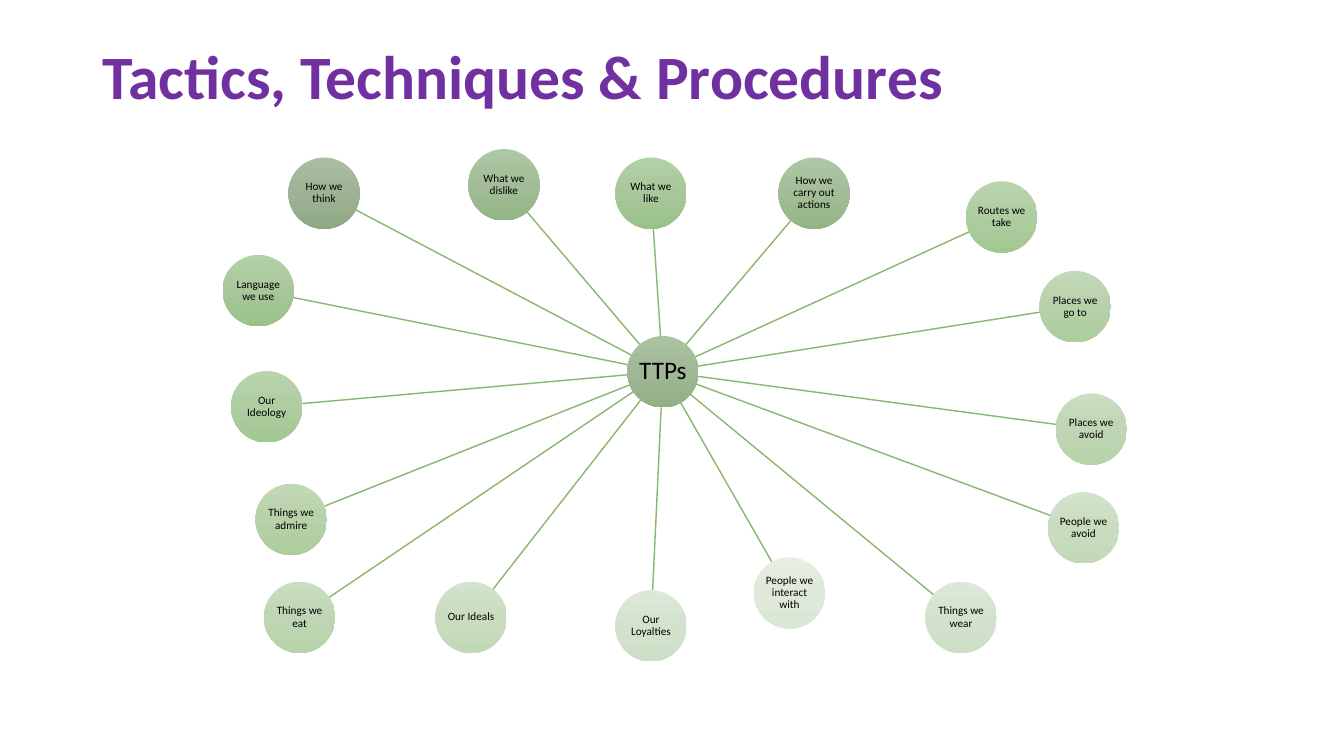
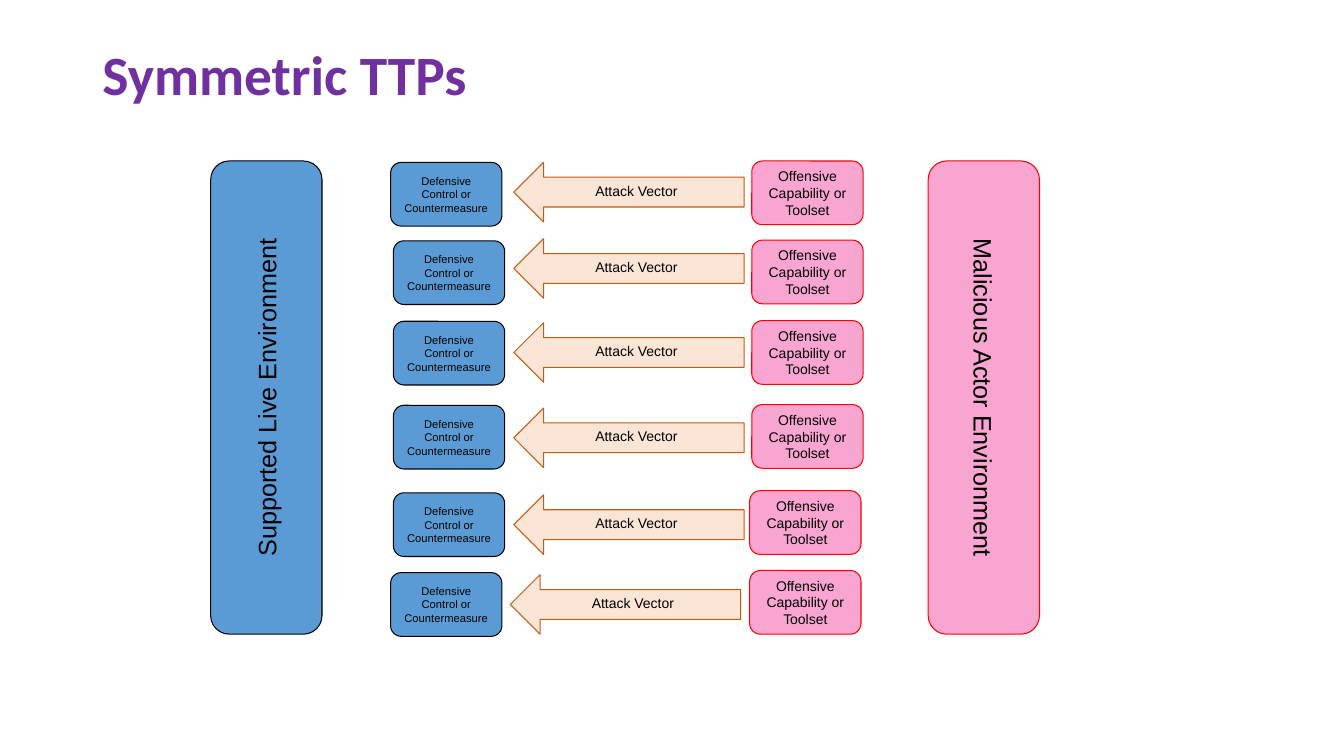
"""Build two slides on tactics, techniques and procedures."""
import copy
import math

import pptx
import pptx.dml.color
import pptx.enum.shapes
import pptx.enum.text
import pptx.oxml
import pptx.util

Pt = pptx.util.Pt
SHAPE = pptx.enum.shapes.MSO_SHAPE
ALIGN = pptx.enum.text.PP_ALIGN
ANCHOR = pptx.enum.text.MSO_ANCHOR

PURPLE, BLACK, GREEN = "7030A0", "000000", "88B76F"
BLUE = ("5B9BD5", BLACK)
PINK = ("F9A5D1", "FF0000")
PEACH = ("FBE5D6", "C55A11")


def tint(hue):
    return pptx.dml.color.RGBColor.from_string(hue)


def write(shape, text, font, size, hue, align=ALIGN.CENTER, anchor=ANCHOR.MIDDLE):
    frame = shape.text_frame
    frame.text = text
    frame.word_wrap = True
    frame.auto_size = pptx.enum.text.MSO_AUTO_SIZE.NONE
    frame.vertical_anchor = anchor
    para = frame.paragraphs[0]
    para.alignment = align
    face = para.runs[0].font
    face.name, face.size = font, Pt(size)
    face.color.rgb = tint(hue)
    return para


deck = pptx.Presentation()
deck.slide_width, deck.slide_height = Pt(960), Pt(540)

slides = []
for text, size, height in (
    ("Tactics, Techniques & Procedures", 44, 56),
    ("Symmetric TTPs", 39.6, 54),
):
    slide = deck.slides.add_slide(deck.slide_layouts[5])
    title = slide.shapes.title
    title.left, title.top, title.width, title.height = Pt(66), Pt(28.75), Pt(828), Pt(height)
    para = write(title, text, "Calibri", size, PURPLE, ALIGN.LEFT)
    para.line_spacing = 0.9
    para.runs[0].font.bold = True
    slides.append(slide)
web, match = slides

SIDE = 51
HUB = (473.5, 265.5)
HUB_SHADE = ("ACC3A2", "A0B896", "90B083")
SHADES = (
    ("AABEA2", "9EB395", "8DA982"),
    ("AEC7A4", "A2BD97", "93B584"),
    ("B3D1A7", "A8C79A", "99C288"),
    ("BAD4AE", "AECDA1", "A2C891"),
    ("C2D9B7", "B7D1AA", "ACCD9C"),
    ("CADEC1", "BFD6B5", "B6D3A9"),
    ("D3E3CC", "C9DCC0", "C2D9B7"),
    ("DDE9D8", "D3E2CD", "CDDFC6"),
    ("E8EFE5", "DEE9D9", "DAE7D4"),
)
NODES = (
    ("How we think", 231.5, 138),
    ("How we carry out actions", 581.5, 138),
    ("What we like", 465, 138),
    ("Routes we take", 715.5, 155),
    ("Places we go to", 768, 219),
    ("Places we avoid", 779.5, 306.5),
    ("People we avoid", 774, 377),
    ("Things we wear", 686.5, 441),
    ("People we interact with", 564, 423.5),
    ("Our Loyalties", 465, 447),
    ("Our Ideals", 336.5, 441),
    ("Things we eat", 214, 441),
    ("Things we admire", 208, 371),
    ("Our Ideology", 190.5, 290.5),
    ("Language we use", 184.5, 207.5),
    ("What we dislike", 360, 132),
)

disks = [("TTPs", *HUB, 18, HUB_SHADE)]
last = len(SHADES) - 1
for i, (text, x, y) in enumerate(NODES):
    disks.append((text, x, y, 8, SHADES[last - abs(last - i)]))
    span = math.dist(HUB, (x, y))
    dx, dy = (x - HUB[0]) / span * SIDE / 2, (y - HUB[1]) / span * SIDE / 2
    spoke = web.shapes.add_connector(
        pptx.enum.shapes.MSO_CONNECTOR.STRAIGHT,
        Pt(HUB[0] + dx), Pt(HUB[1] + dy), Pt(x - dx), Pt(y - dy))
    spoke.line.color.rgb = tint(GREEN)
    spoke.line.width = Pt(1)
    spoke.element.spPr.append(pptx.oxml.parse_xml(
        '<a:effectLst xmlns:a="http://schemas.openxmlformats.org/drawingml/2006/main"/>'))

for text, x, y, size, shade in disks:
    disk = web.shapes.add_shape(
        SHAPE.OVAL, Pt(x - SIDE / 2), Pt(y - SIDE / 2), Pt(SIDE), Pt(SIDE))
    disk.shadow.inherit = False
    disk.line.fill.background()
    disk.fill.gradient()
    disk.fill.gradient_angle = 270
    first = disk.element.spPr.xpath("./a:gradFill/a:gsLst/a:gs")[0]
    first.addnext(copy.deepcopy(first))
    for stop, hue, place in zip(disk.fill.gradient_stops, shade, (0, 0.5, 1)):
        stop.color.rgb = tint(hue)
        stop.position = place
    para = write(disk, text, "Calibri", size, BLACK)
    para.line_spacing = 0.9
    para.space_after = Pt(round(size * 0.35, 1))
    frame = disk.text_frame
    frame.margin_left = frame.margin_right = Pt(0.5)
    frame.margin_top = frame.margin_bottom = Pt(0.5)

ROWS = (
    (279, 116, 367, 116, 537, 115),
    (281, 172, 367, 170.5, 537, 171.5),
    (281, 229.5, 367, 230.5, 537, 229),
    (281, 289.5, 367, 291.5, 537, 289),
    (281, 352, 367, 353.5, 535.5, 350.5),
    (279, 409, 364.5, 410.5, 535.5, 407.5),
)
WIDE, TALL = 79.5, 45.5
BOX, ARROW = SHAPE.ROUNDED_RECTANGLE, SHAPE.LEFT_ARROW
MID, TOP = ANCHOR.MIDDLE, ANCHOR.TOP

parts = [
    (BOX, 150.5, 115, WIDE, 338, BLUE, "Supported Live Environment", 18, MID, "vert270"),
    (BOX, 663, 115, WIDE, 338, PINK, "Malicious Actor Environment", 18, MID, "vert"),
]
for bx, by, ax, ay, px, py in ROWS:
    parts += [
        (BOX, bx, by, WIDE, TALL, BLUE, "Defensive Control or Countermeasure", 8, MID, "horz"),
        (ARROW, ax, ay, 164.5, 42.5, PEACH, "Attack Vector", 10, TOP, "horz"),
        (BOX, px, py, WIDE, TALL, PINK, "Offensive Capability or Toolset", 10, MID, "horz"),
    ]

for kind, x, y, wide, tall, (fill, edge), text, size, anchor, turn in parts:
    shape = match.shapes.add_shape(kind, Pt(x), Pt(y), Pt(wide), Pt(tall))
    shape.shadow.inherit = False
    shape.fill.solid()
    shape.fill.fore_color.rgb = tint(fill)
    shape.line.color.rgb = tint(edge)
    shape.line.width = Pt(0.75)
    write(shape, text, "Arial", size, BLACK, anchor=anchor)
    shape.element.txBody.bodyPr.set("vert", turn)

deck.save("out.pptx")
